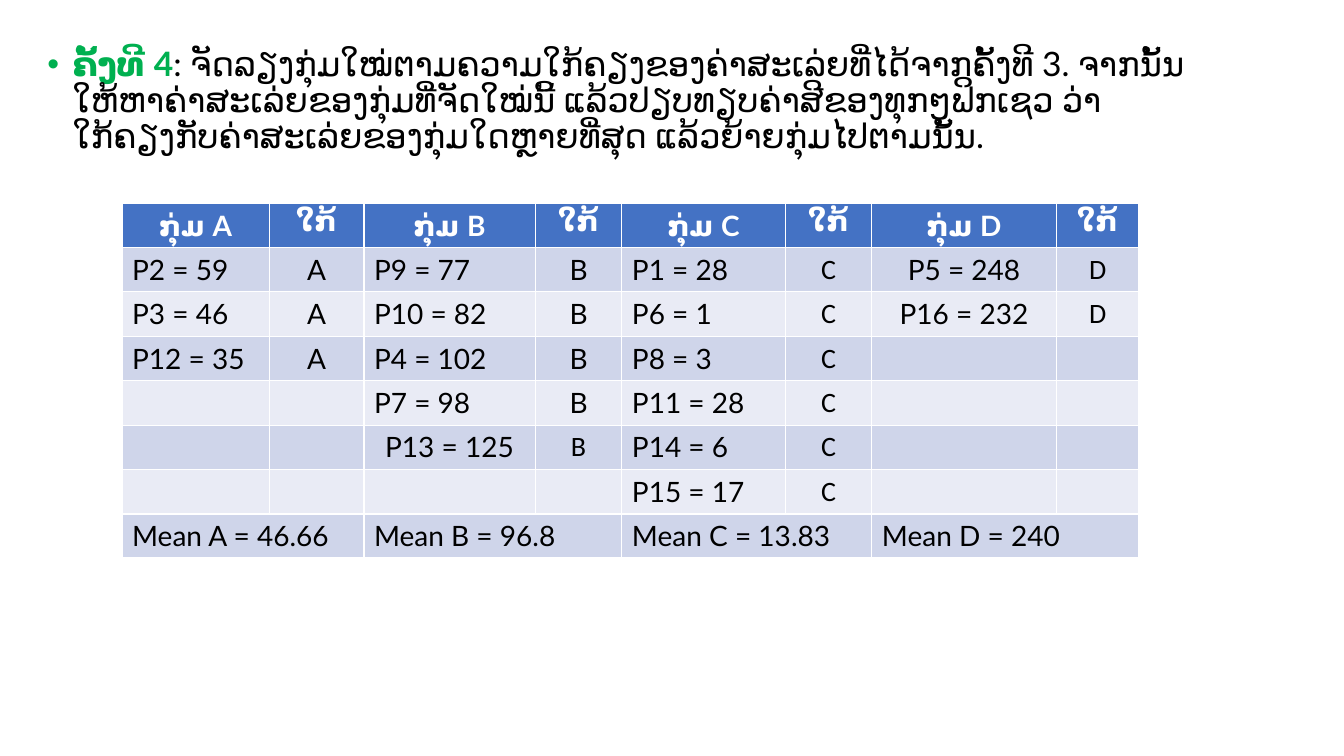
from dataclasses import dataclass
from itertools import chain

from pptx import Presentation
from pptx.dml.color import RGBColor
from pptx.enum.text import MSO_ANCHOR, MSO_AUTO_SIZE, PP_ALIGN
from pptx.oxml import parse_xml
from pptx.oxml.ns import nsdecls
from pptx.table import _Cell
from pptx.text.text import _Run
from pptx.util import Emu, Inches, Pt

WIDTH, HEIGHT = Inches(13.33), Inches(7.5)
BLUE, WHITE, BLACK, GREEN = "4472C4", "FFFFFF", "000000", "00B050"
BANDS = ("CFD5EA", "E9EBF5")
LATO, PLAIN = "Lato", "Calibri"


@dataclass(frozen=True)
class Point:
    label: str
    mid: bool = False


@dataclass(frozen=True)
class Group:
    name: str
    mean: str
    wide: float  # percent of slide width, points column
    slim: float  # percent of slide width, nearest column
    points: tuple[Point, ...]
    face: str = LATO


GROUPS = (
    Group("A", "46.66", 10.95, 7.05,
          (Point("P2 = 59"), Point("P3 = 46"), Point("P12 = 35"))),
    Group("B", "96.8", 12.75, 6.45,
          (Point("P9 = 77"), Point("P10 = 82"), Point("P4 = 102"),
           Point("P7 = 98"), Point("P13 = 125", True))),
    Group("C", "13.83", 12.15, 6.45,
          (Point("P1 = 28"), Point("P6 = 1"), Point("P8 = 3"),
           Point("P11 = 28"), Point("P14 = 6"), Point("P15 = 17")), PLAIN),
    Group("D", "240", 13.73, 6.15,
          (Point("P5 = 248", True), Point("P16 = 232", True)), PLAIN),
)
LAST = max(len(group.points) for group in GROUPS) + 1


def across(share: float) -> Emu:
    return Emu(round(WIDTH * share / 100))


def down(share: float) -> Emu:
    return Emu(round(HEIGHT * share / 100))


def color(code: str) -> RGBColor:
    return RGBColor.from_string(code)


def style(run: _Run, size: int, code: str, bold: bool = False, face: str = LATO) -> None:
    run.font.name, run.font.size, run.font.bold = face, Pt(size), bold
    run.font.color.rgb = color(code)


def write(cell: _Cell, text: str, mid: bool = False, face: str = LATO,
          code: str = BLACK, bold: bool = False) -> None:
    cell.text_frame.text = text
    line = cell.text_frame.paragraphs[0]
    line.alignment = PP_ALIGN.CENTER if mid else PP_ALIGN.LEFT
    style(line.runs[0], 20, code, bold, face)


deck = Presentation()
deck.slide_width, deck.slide_height = WIDTH, HEIGHT
slide = deck.slides.add_slide(deck.slide_layouts[1])
title = slide.shapes.title
title.element.getparent().remove(title.element)

# Step text
body = slide.placeholders[1]
body.left, body.top = across(2.78), down(5.6)
body.width, body.height = across(86.27), down(74.13)
frame = body.text_frame
frame.word_wrap, frame.auto_size = True, MSO_AUTO_SIZE.NONE
frame.vertical_anchor = MSO_ANCHOR.TOP
frame.text = "ຄັ້ງທີ 4"
step = frame.paragraphs[0]
step.line_spacing, step.space_before = 0.9, Pt(10)
rest = step.add_run()
rest.text = (": ຈັດລຽງກຸ່ມໃໝ່ຕາມຄວາມໃກ້ຄຽງຂອງຄ່າສະເລ່ຍທີ່ໄດ້ຈາກຄັ້ງທີ 3. "
             "ຈາກນັ້ນໃຫ້ຫາຄ່າສະເລ່ຍຂອງກຸ່ມທີ່ຈັດໃໝ່ນີ້ "
             "ແລ້ວປຽບທຽບຄ່າສີຂອງທຸກໆຟິກເຊວ "
             "ວ່າໃກ້ຄຽງກັບຄ່າສະເລ່ຍຂອງກຸ່ມໃດຫຼາຍທີ່ສຸດ ແລ້ວຍ້າຍກຸ່ມໄປຕາມນັ້ນ.")
style(step.runs[0], 24, GREEN, True)
style(rest, 24, BLACK)
props = step._p.get_or_add_pPr()
props.set("marL", str(Inches(0.25)))
props.set("indent", str(-Inches(0.25)))
props.append(parse_xml(f'<a:buFont {nsdecls("a")} typeface="Arial"/>'))
props.append(parse_xml(f'<a:buChar {nsdecls("a")} char="•"/>'))

# Table grid; the default table style supplies the white rules
sizes = list(chain.from_iterable((group.wide, group.slim) for group in GROUPS))
table = slide.shapes.add_table(LAST + 1, len(sizes), across(9.08), down(26.93),
                               across(sum(sizes)), down(5.5 * (LAST + 1))).table
for column, size in zip(table.columns, sizes):
    column.width = across(size)
for index, row in enumerate(table.rows):
    for cell in row.cells:
        cell.fill.solid()
        cell.fill.fore_color.rgb = color(BANDS[(index - 1) % 2] if index else BLUE)

# Groups: header, points with nearest group, mean
for left, group in zip(range(0, len(sizes), 2), GROUPS):
    write(table.cell(0, left), f"ກຸ່ມ {group.name}", True, code=WHITE, bold=True)
    write(table.cell(0, left + 1), "ໃກ້", True, code=WHITE, bold=True)
    for index, point in enumerate(group.points, 1):
        write(table.cell(index, left), point.label, point.mid)
        write(table.cell(index, left + 1), group.name, True,
              PLAIN if point.mid else group.face)
    table.cell(LAST, left).merge(table.cell(LAST, left + 1))
    write(table.cell(LAST, left), f"Mean {group.name} = {group.mean}")

deck.save("out.pptx")
